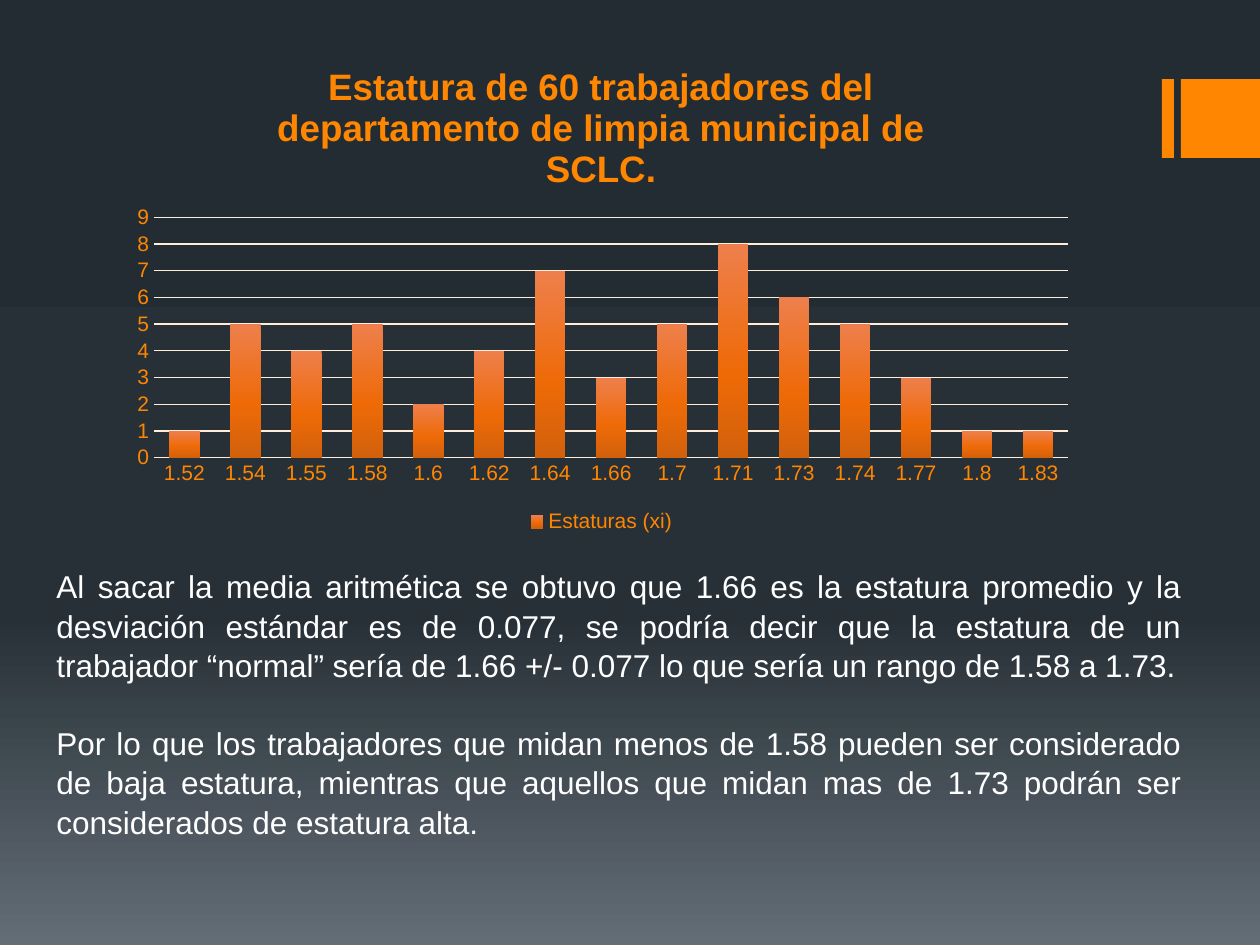
from lxml import etree
from pptx import Presentation
from pptx.chart.data import CategoryChartData
from pptx.dml.color import RGBColor
from pptx.enum.chart import XL_CHART_TYPE as ChartType
from pptx.enum.chart import XL_LEGEND_POSITION as LegendPosition
from pptx.enum.chart import XL_TICK_MARK as TickMark
from pptx.enum.shapes import MSO_SHAPE as Shape
from pptx.enum.text import PP_ALIGN as Align
from pptx.oxml import parse_xml
from pptx.oxml.ns import nsdecls, qn
from pptx.util import Pt

EMU_PER_PX = 914400 // 126
FONT = "Arial"
ORANGE = "FF8600"
CREAM = "FFEDD9"
WHITE = "FFFFFF"
TITLE = "Estatura de 60 trabajadores del departamento de limpia municipal de SCLC."
HEIGHTS = {
    "1.52": 1, "1.54": 5, "1.55": 4, "1.58": 5, "1.6": 2,
    "1.62": 4, "1.64": 7, "1.66": 3, "1.7": 5, "1.71": 8,
    "1.73": 6, "1.74": 5, "1.77": 3, "1.8": 1, "1.83": 1,
}
CONCLUSIONS = [
    "Al sacar la media aritmética se obtuvo que 1.66 es la estatura promedio y la "
    "desviación estándar es de 0.077, se podría decir que la estatura de un trabajador "
    "“normal” sería de 1.66 +/- 0.077 lo que sería un rango de 1.58 a 1.73.",
    "Por lo que los trabajadores que midan menos de 1.58 pueden ser considerado de baja "
    "estatura, mientras que aquellos que midan mas de 1.73 podrán ser considerados de "
    "estatura alta.",
]


def px(*lengths):
    return [length * EMU_PER_PX for length in lengths]


def color(code):
    return RGBColor.from_string(code)


def set_font(font, size, code, bold=False):
    font.name = FONT
    font.size = Pt(size)
    font.bold = bold
    font.color.rgb = color(code)


def set_gradient(fill, owner, stops):
    fill.gradient()
    fill.gradient_angle = 270
    stop_list = next(owner.iter(qn("a:gsLst")))
    for stop in list(stop_list):
        stop_list.remove(stop)
    for percent, code in stops:
        stop = etree.SubElement(stop_list, qn("a:gs"), pos=str(percent * 1000))
        etree.SubElement(stop, qn("a:srgbClr"), val=code)


def add_bar(page, left, top, width, height):
    bar = page.shapes.add_shape(Shape.RECTANGLE, *px(left, top, width, height))
    bar.shadow.inherit = False
    bar.fill.solid()
    bar.fill.fore_color.rgb = color(ORANGE)
    bar.line.fill.background()


def set_layout(parent, following, **values):
    for old in parent.findall(qn("c:layout")):
        parent.remove(old)
    modes = "".join(f'<c:{axis}Mode val="edge"/>' for axis in "xy")
    target = '<c:layoutTarget val="inner"/>' if "w" in values else ""
    sizes = "".join(f'<c:{name} val="{value}"/>' for name, value in values.items())
    layout = parse_xml(
        f'<c:layout {nsdecls("c")}><c:manualLayout>{target}{modes}{sizes}'
        "</c:manualLayout></c:layout>"
    )
    parent.find(qn(following)).addprevious(layout)


def style_axis(axis):
    axis.major_tick_mark = TickMark.NONE
    axis.minor_tick_mark = TickMark.NONE
    set_font(axis.tick_labels.font, 12, ORANGE)


def style_line(line):
    line.color.rgb = color(CREAM)
    line.width = Pt(0.75)


def add_height_chart(page):
    data = CategoryChartData()
    data.categories = list(HEIGHTS)
    data.add_series("Estaturas (xi)", list(HEIGHTS.values()))
    frame = page.shapes.add_chart(
        ChartType.COLUMN_CLUSTERED, *px(115, 37, 973, 501), data
    )
    chart = frame.chart
    set_font(chart.font, 10, WHITE)

    chart.has_title = True
    title = chart.chart_title
    title.text_frame.text = TITLE
    set_font(title.text_frame.paragraphs[0].runs[0].font, 21, ORANGE, bold=True)
    set_layout(chart.element.find(f".//{qn('c:title')}"), "c:overlay", x=0.16, y=0.04)

    chart.has_legend = True
    chart.legend.position = LegendPosition.BOTTOM
    chart.legend.include_in_layout = False
    set_font(chart.legend.font, 12, ORANGE)

    style_axis(chart.category_axis)
    style_line(chart.category_axis.format.line)
    value_axis = chart.value_axis
    style_axis(value_axis)
    value_axis.minimum_scale = 0
    value_axis.maximum_scale = 9
    value_axis.major_unit = 1
    value_axis.format.line.fill.background()
    style_line(value_axis.major_gridlines.format.line)

    plot = chart.plots[0]
    plot.gap_width = 100
    plot.overlap = -24
    plot.vary_by_categories = False
    set_gradient(
        plot.series[0].format.fill,
        chart.element,
        [(0, "EE7F4C"), (60, "EE6A07"), (100, "D2610C")],
    )
    plot_area = chart.element.find(f".//{qn('c:plotArea')}")
    set_layout(plot_area, "c:barChart", x=0.04, y=0.36, w=0.94, h=0.48)


def add_conclusions(page):
    box = page.shapes.add_textbox(*px(44, 559, 1150, 432))
    frame = box.text_frame
    frame.word_wrap = True
    frame.text = "\n".join(CONCLUSIONS)
    for index, para in enumerate(frame.paragraphs):
        para.alignment = Align.JUSTIFY
        para.line_spacing = 1.05
        para.space_before = Pt(21.5 if index else 0)
        set_font(para.runs[0].font, 18, WHITE)


def main():
    deck = Presentation()
    deck.slide_width, deck.slide_height = px(1260, 945)
    page = deck.slides.add_slide(deck.slide_layouts[6])
    set_gradient(
        page.background.fill,
        page.element,
        [(0, "242C33"), (65, "273037"), (100, "636D76")],
    )
    add_bar(page, 1162, 79, 12, 79)
    add_bar(page, 1181, 79, 79, 79)
    add_height_chart(page)
    add_conclusions(page)
    deck.save("out.pptx")


if __name__ == "__main__":
    main()
